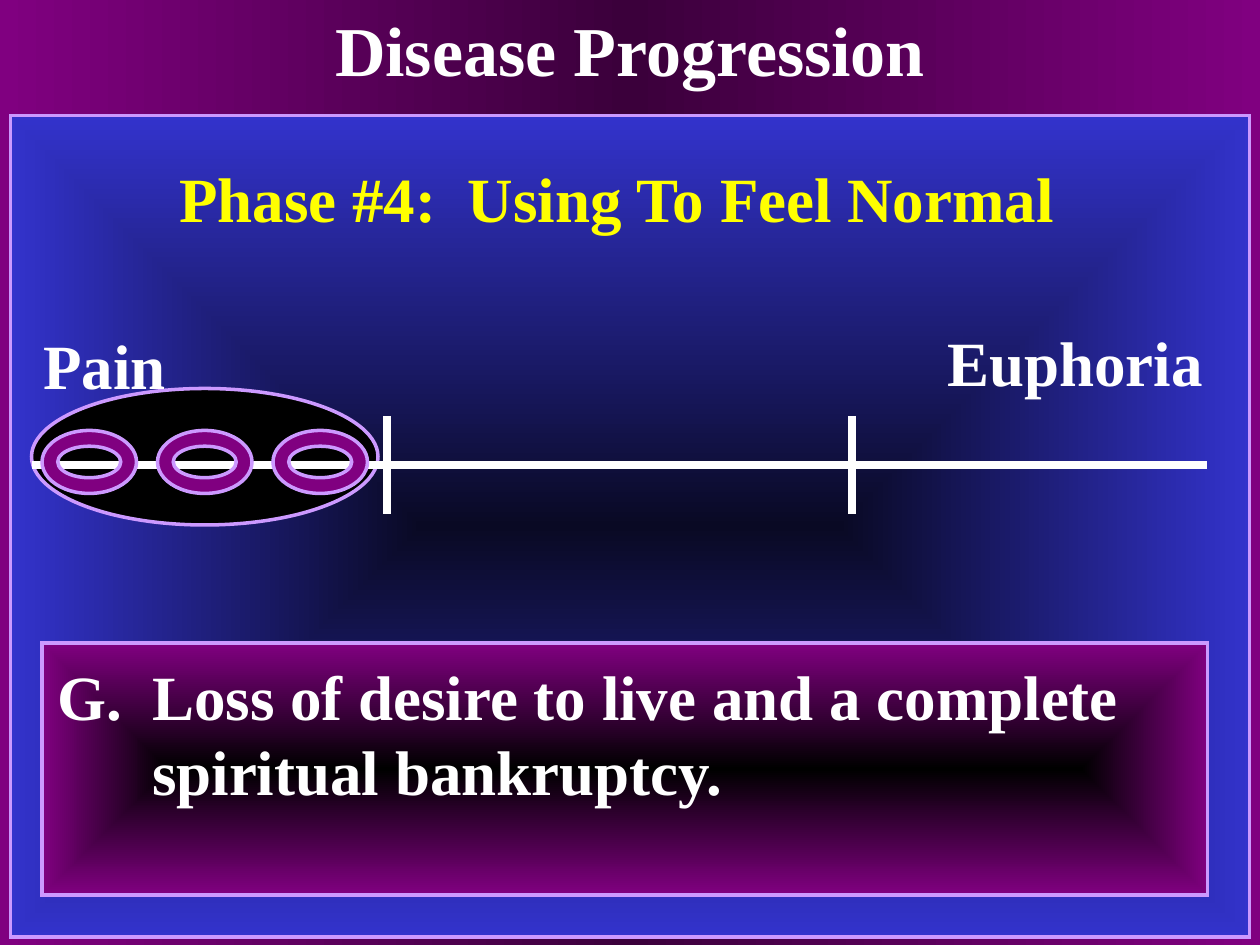
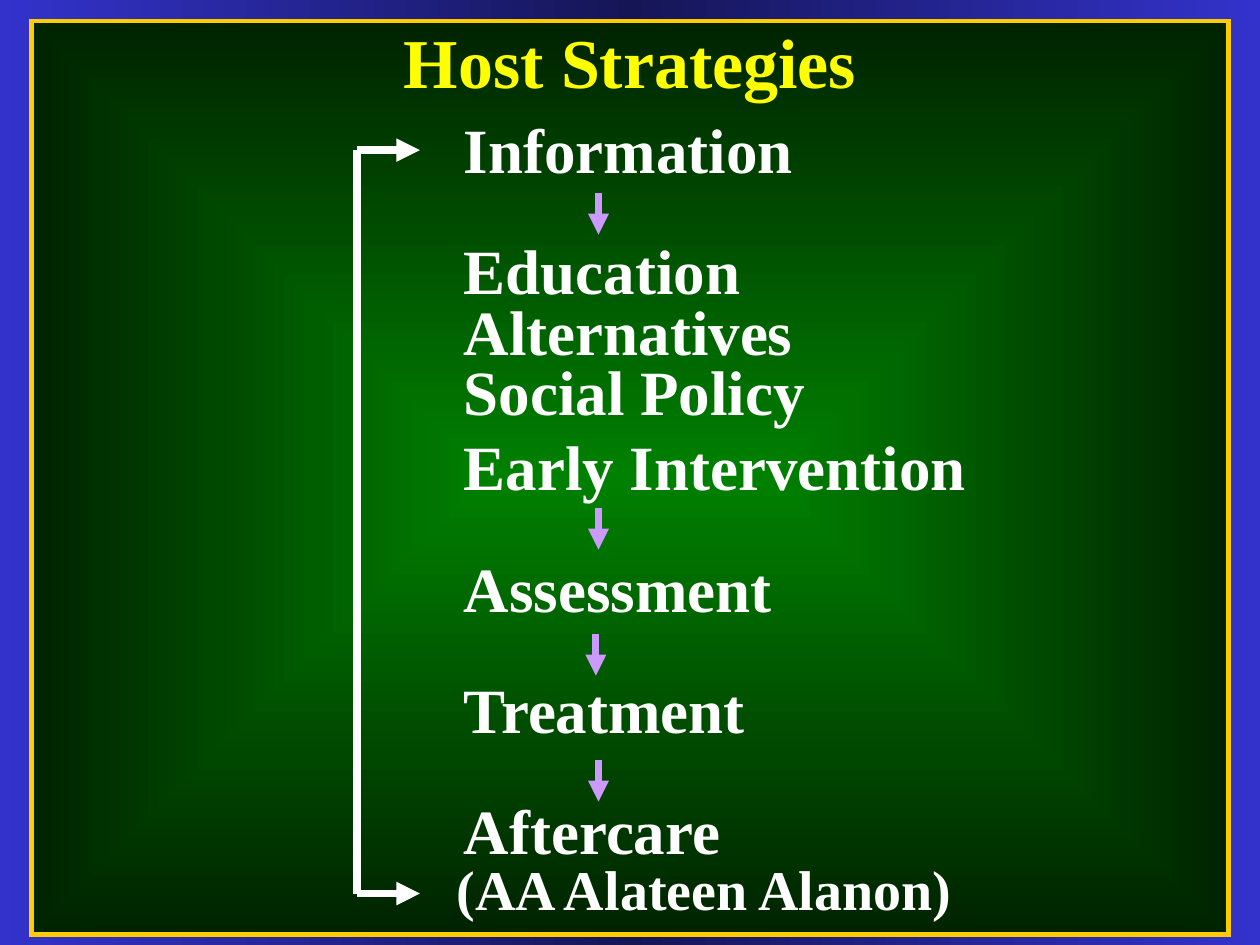
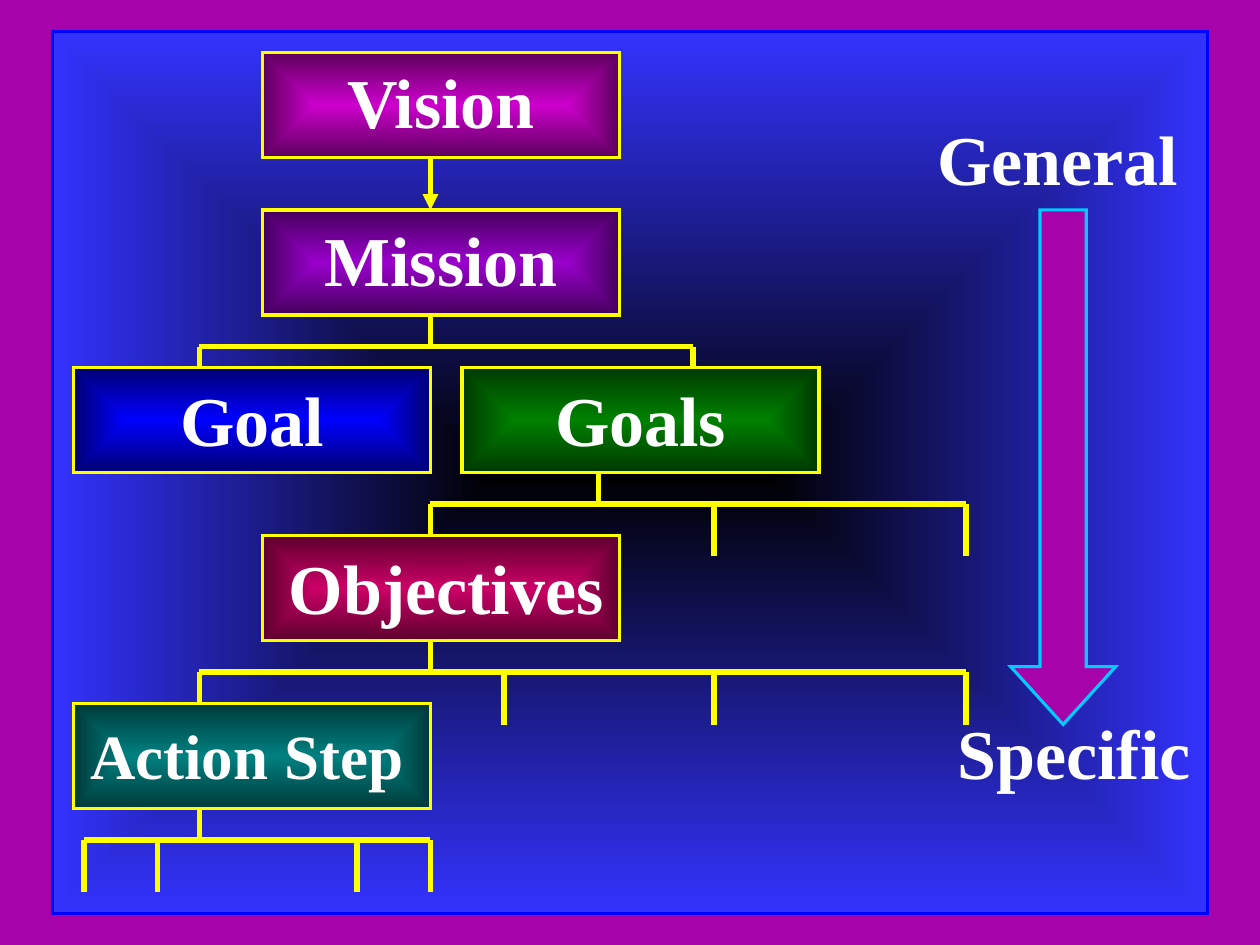
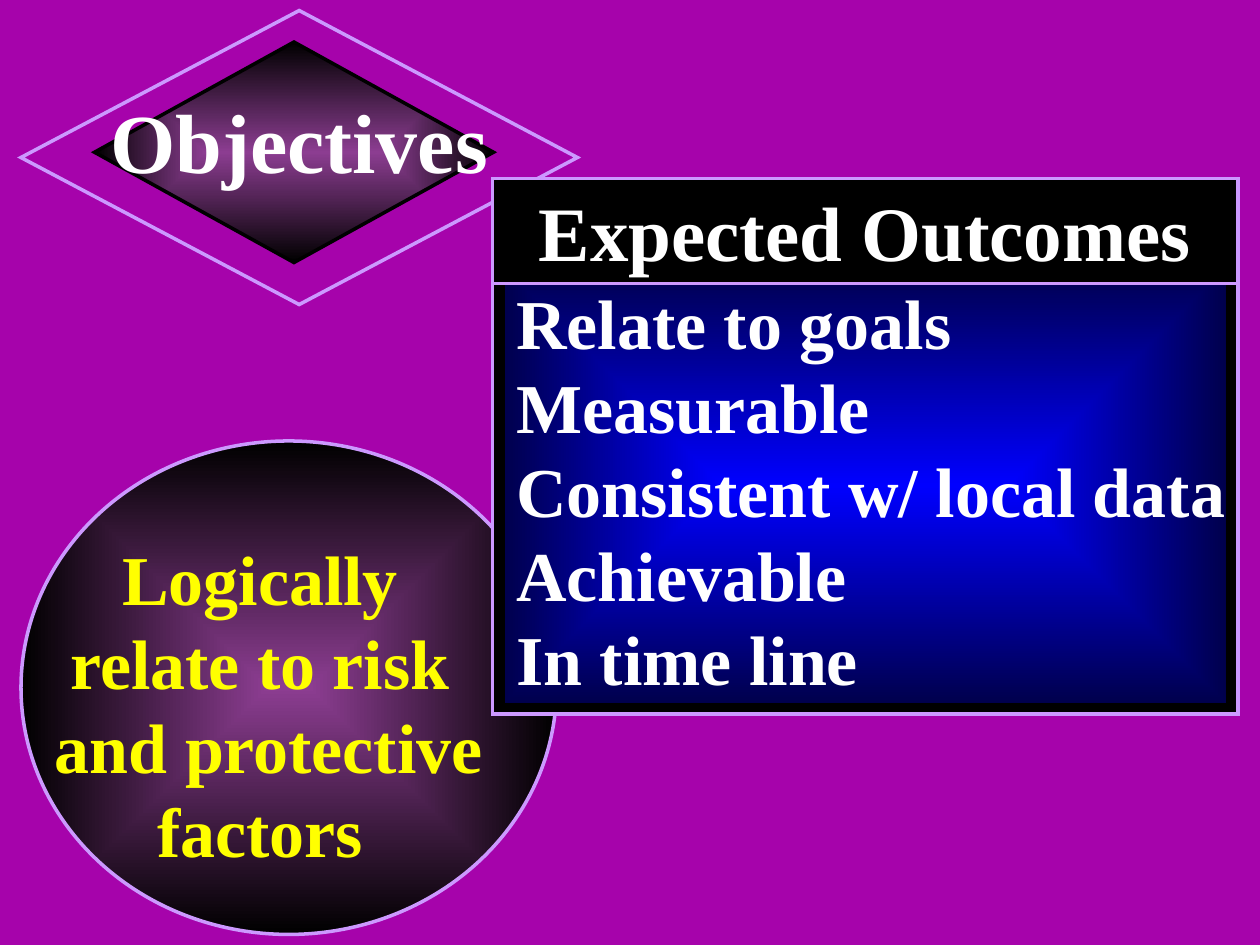
import copy
from dataclasses import dataclass

import pptx
import pptx.util
from pptx.dml.color import RGBColor
from pptx.enum.shapes import MSO_CONNECTOR, MSO_SHAPE
from pptx.enum.text import MSO_ANCHOR, MSO_AUTO_SIZE, PP_ALIGN
from pptx.oxml import parse_xml
from pptx.oxml.ns import nsdecls, qn


@dataclass(frozen=True)
class Theme:
    font: str = "Times New Roman"
    white: str = "FFFFFF"
    black: str = "000000"
    yellow: str = "FFFF00"
    gold: str = "FFCC00"
    lilac: str = "CC99FF"
    purple: str = "800080"
    magenta: str = "A603AB"
    blue: str = "0000FF"
    cyan: str = "00CCFF"
    mauve_glow: tuple = ("8C3D91", "000000")  # gradients run from centre to edge
    small: int = 32
    body: int = 36
    title: int = 40
    header: int = 44
    display: int = 48
    outline: float = 2
    tree: float = 3
    arrow: float = 4
    axis: float = 4.5


theme = Theme()
presentation = pptx.Presentation()
presentation.slide_width = pptx.util.Inches(10)
presentation.slide_height = pptx.util.Inches(7.5)
CELL = presentation.slide_width / 120  # square grid: 120 columns by 90 rows
TITLE_HEIGHT = 9.25
LABEL_HEIGHT = 8.4


def add_block(slide, kind, box, fill=None, line=None, line_width=theme.outline,
              text=(), size=theme.title, color=theme.white, align=PP_ALIGN.LEFT,
              anchor=MSO_ANCHOR.TOP, spacing=None):
    """Add a preset shape, a "text" box or the "title"; box is in grid cells."""
    left, top, width, height = (round(value * CELL) for value in box)
    if kind == "title":
        shape = slide.shapes.title
        shape.element.getparent().append(shape.element)  # bring to front
        for name, value in dict(left=left, top=top, width=width, height=height).items():
            setattr(shape, name, value)
    elif kind == "text":
        shape = slide.shapes.add_textbox(left, top, width, height)
    else:
        shape = slide.shapes.add_shape(kind, left, top, width, height)
        shape.shadow.inherit = False
        shape.line.color.rgb = RGBColor.from_string(line)
        shape.line.width = pptx.util.Pt(line_width)
        shape.element.spPr.find(qn("a:ln")).append(
            parse_xml(f'<a:miter {nsdecls("a")} lim="800000"/>'))
        if isinstance(fill, str):
            shape.fill.solid()
            shape.fill.fore_color.rgb = RGBColor.from_string(fill)
        else:
            shape.fill.gradient()
            for stop, stop_color in zip(shape.fill.gradient_stops, fill):
                stop.color.rgb = RGBColor.from_string(stop_color)
            gradient = shape.element.spPr.find(qn("a:gradFill"))
            gradient.replace(gradient.find(qn("a:lin")), parse_xml(
                f'<a:path {nsdecls("a")} path="rect">'
                '<a:fillToRect l="50000" t="50000" r="50000" b="50000"/></a:path>'))
    if not text:
        return shape

    frame = shape.text_frame
    is_preset = kind not in ("title", "text")
    frame_format = dict(
        word_wrap=True, vertical_anchor=MSO_ANCHOR.MIDDLE if is_preset else anchor,
        auto_size=MSO_AUTO_SIZE.NONE if is_preset else MSO_AUTO_SIZE.SHAPE_TO_FIT_TEXT)
    for name, value in frame_format.items():
        setattr(frame, name, value)
    font_format = dict(name=theme.font, size=pptx.util.Pt(size), bold=True)
    for index, words in enumerate(text):
        paragraph = frame.add_paragraph() if index else frame.paragraphs[0]
        paragraph.alignment = align
        paragraph.line_spacing = spacing
        run = paragraph.add_run()
        run.text = words
        for name, value in font_format.items():
            setattr(run.font, name, value)
        run.font.color.rgb = RGBColor.from_string(color)
    return shape


def add_line(slide, start, end, color, width, arrow=False):
    points = (round(value * CELL) for value in (*start, *end))
    connector = slide.shapes.add_connector(MSO_CONNECTOR.STRAIGHT, *points)
    connector.line.color.rgb = RGBColor.from_string(color)
    connector.line.width = pptx.util.Pt(width)
    if arrow:
        connector.element.spPr.find(qn("a:ln")).append(
            parse_xml(f'<a:tailEnd {nsdecls("a")} type="triangle"/>'))
    connector.element.spPr.append(parse_xml(f'<a:effectLst {nsdecls("a")}/>'))


TITLE_ONLY, BLANK = (presentation.slide_layouts[number] for number in (5, 6))
slides = []
for layout, background in (
    (TITLE_ONLY, (theme.purple, "3B003B")),
    (TITLE_ONLY, ("3333CC", "151556")),
    (BLANK, theme.magenta),
    (TITLE_ONLY, theme.magenta),
):
    slide = presentation.slides.add_slide(layout)
    slides.append(slide)
    fill = slide.background.fill
    if isinstance(background, str):
        fill.solid()
        fill.fore_color.rgb = RGBColor.from_string(background)
        continue
    fill.gradient()
    fill.gradient_angle = 0
    for stop, stop_color in zip(fill.gradient_stops, background):
        stop.color.rgb = RGBColor.from_string(stop_color)
    fill.gradient_stops[1].position = 0.5
    stop_list = next(slide.element.iter(qn("a:gsLst")))
    last_stop = copy.deepcopy(stop_list[0])
    last_stop.set("pos", "100000")
    stop_list.append(last_stop)

progression, strategies, planning, objectives = slides
center = PP_ALIGN.CENTER

# Slide 1: disease progression
add_block(progression, MSO_SHAPE.RECTANGLE, (1, 11, 118, 78.25),
          ("090924", "3333CC"), theme.lilac)
add_block(progression, MSO_SHAPE.OVAL, (3, 37, 33, 13), theme.black, theme.lilac)
add_block(progression, MSO_SHAPE.RECTANGLE, (4, 61.25, 111, 24),
          (theme.black, theme.purple), theme.lilac)
add_line(progression, (3, 44.25), (115, 44.25), theme.white, theme.axis)
for tick in (36.85, 81.15):
    add_line(progression, (tick, 39.6), (tick, 49), theme.white, theme.axis)
for words, left, top, width in (("Pain", 2.95, 30.5, 15), ("Euphoria", 89.05, 30.25, 28)):
    add_block(progression, "text", (left, top, width, LABEL_HEIGHT),
              text=[words], size=theme.body)
add_block(progression, "title", (0, 0, 120, TITLE_HEIGHT),
          text=["Disease Progression"], align=center)
add_block(progression, "text", (2, 14.65, 115, LABEL_HEIGHT),
          text=["Phase #4:  Using To Feel Normal "], size=theme.body,
          color=theme.yellow, align=center)
statement = add_block(progression, "text", (4.3, 62, 105, 15.6), size=theme.body,
                      text=["G.\tLoss of desire to live and a complete spiritual bankruptcy."])
hanging = round(9 * CELL)
properties = statement.text_frame.paragraphs[0]._p.get_or_add_pPr()
properties.set("marL", str(hanging))
properties.set("indent", str(-hanging))
for link in range(3):
    add_block(progression, MSO_SHAPE.DONUT, (4 + 11 * link, 41, 9, 6),
              theme.purple, theme.lilac)

# Slide 2: host strategies
add_block(strategies, MSO_SHAPE.RECTANGLE, (3, 2, 114, 87),
          ("008000", "002300"), theme.gold, 2.5)
steps = add_block(
    strategies, "text", (43, 11.35, 57, 77.5), size=theme.body, spacing=0.8,
    text=["Information", "Education", "Alternatives", "Social Policy",
          "Early Intervention", "Assessment", "Treatment", "Aftercare"])
for paragraph in steps.text_frame.paragraphs:
    words = paragraph.text
    if words in ("Education", "Assessment", "Treatment", "Aftercare"):
        paragraph.space_before = pptx.util.Pt(34.7)
    elif words == "Early Intervention":
        paragraph.line_spacing = 1.0
spine, first_row, last_row = 34, 14.3, 85.1
add_line(strategies, (spine, first_row), (spine, last_row), theme.white, theme.axis)
for row in (first_row, last_row):
    add_line(strategies, (spine, row), (spine + 6, row), theme.white, theme.axis, arrow=True)
add_block(strategies, "title", (0, 1.15, 120, TITLE_HEIGHT),
          text=["Host Strategies"], color=theme.yellow, align=center)
add_block(strategies, "text", (42.3, 80.75, 52, 7.7),
          text=["(AA Alateen Alanon)"], size=theme.small)
for column, row in ((57, 18.35), (57, 48.35), (56.75, 60.35), (57, 72.35)):
    add_line(strategies, (column, row), (column, row + 4),
             theme.lilac, theme.arrow, arrow=True)

# Slide 3: planning tree from vision to action steps
add_block(planning, MSO_SHAPE.RECTANGLE, (5, 3, 110, 84),
          (theme.black, "3333FF"), theme.blue, 1.5)
add_line(planning, (41, 15), (41, 20), theme.yellow, theme.tree, arrow=True)
for stem, row, branches in (
    (41, 33, (19, 66)),
    (57, 48, (41, 68, 92)),
    (41, 64, (19, 48, 68, 92)),
    (19, 80, (8, 15, 34, 41)),
):
    add_line(planning, (stem, row - 5), (stem, row), theme.yellow, theme.tree)
    add_line(planning, (branches[0], row), (branches[-1], row), theme.yellow, theme.tree)
    for branch in branches:
        add_line(planning, (branch, row), (branch, row + 5), theme.yellow, theme.tree)
for words, left, top, glow, label, size, spacing in (
    ("Vision", 25, 5, ("CC00CC", "5C005C"), (25, 5, 34, TITLE_HEIGHT), theme.title, None),
    ("Mission", 25, 20, ("9900CC", "45005C"), (25, 20, 34, TITLE_HEIGHT), theme.title, None),
    ("Goal", 7, 35, (theme.blue, "000073"), (8, 35.25, 32, TITLE_HEIGHT), theme.title, None),
    ("Goals", 44, 35, ("008000", "003A00"), (44, 35.25, 34, TITLE_HEIGHT), theme.title, None),
    ("Objectives", 25, 51, ("CC0066", "5C002E"), (25, 51.25, 35, TITLE_HEIGHT),
     theme.title, None),
    ("Action Step", 7, 67, ("008080", "003A3A"), (7, 69, 33, 7), theme.body, 0.8),
):
    add_block(planning, MSO_SHAPE.RECTANGLE, (left, top, 34, 10), glow, theme.yellow)
    add_block(planning, "text", label, text=[words], size=size, align=center, spacing=spacing)
scale_arrow = add_block(planning, MSO_SHAPE.DOWN_ARROW, (96.25, 20, 10, 49),
                        theme.magenta, theme.cyan, 1.75)
scale_arrow.adjustments[0] = 0.44
scale_arrow.adjustments[1] = 0.55
for words, left, top in (("General", 86.75, 10.35), ("Specific", 88.3, 66.9)):
    add_block(planning, "text", (left, top, 28, TITLE_HEIGHT), text=[words],
              align=center, anchor=MSO_ANCHOR.MIDDLE)

# Slide 4: objectives and expected outcomes
add_block(objectives, MSO_SHAPE.DIAMOND, (2, 1, 53, 28), theme.magenta, theme.lilac)
add_block(objectives, MSO_SHAPE.DIAMOND, (9, 4, 38, 21), theme.mauve_glow, theme.black)
add_block(objectives, MSO_SHAPE.OVAL, (2, 42, 51, 47), theme.mauve_glow, theme.lilac)
add_block(objectives, "title", (0, 9.75, 57, 8.9), text=["Objectives"],
          size=theme.display, align=center, spacing=0.8)
add_block(objectives, MSO_SHAPE.RECTANGLE, (46.9, 17, 71, 51), theme.black, theme.lilac)
add_block(objectives, MSO_SHAPE.RECTANGLE, (47.9, 25.35, 69, 41.75),
          (theme.blue, "00004C"), theme.black)
add_block(objectives, MSO_SHAPE.RECTANGLE, (46.9, 17, 71, 10), theme.black, theme.lilac,
          text=["Expected Outcomes"], size=theme.header, align=center)
add_block(objectives, "text", (48, 26, 71.5, 41.25), anchor=MSO_ANCHOR.MIDDLE,
          text=["Relate to goals", "Measurable", "Consistent w/ local data",
                "Achievable", "In time line"])
add_block(objectives, "text", (3, 50.4, 45.2, 33.25), color=theme.yellow, align=center,
          anchor=MSO_ANCHOR.MIDDLE,
          text=["Logically ", "relate to risk ", "and protective", "factors "])

presentation.save("out.pptx")
